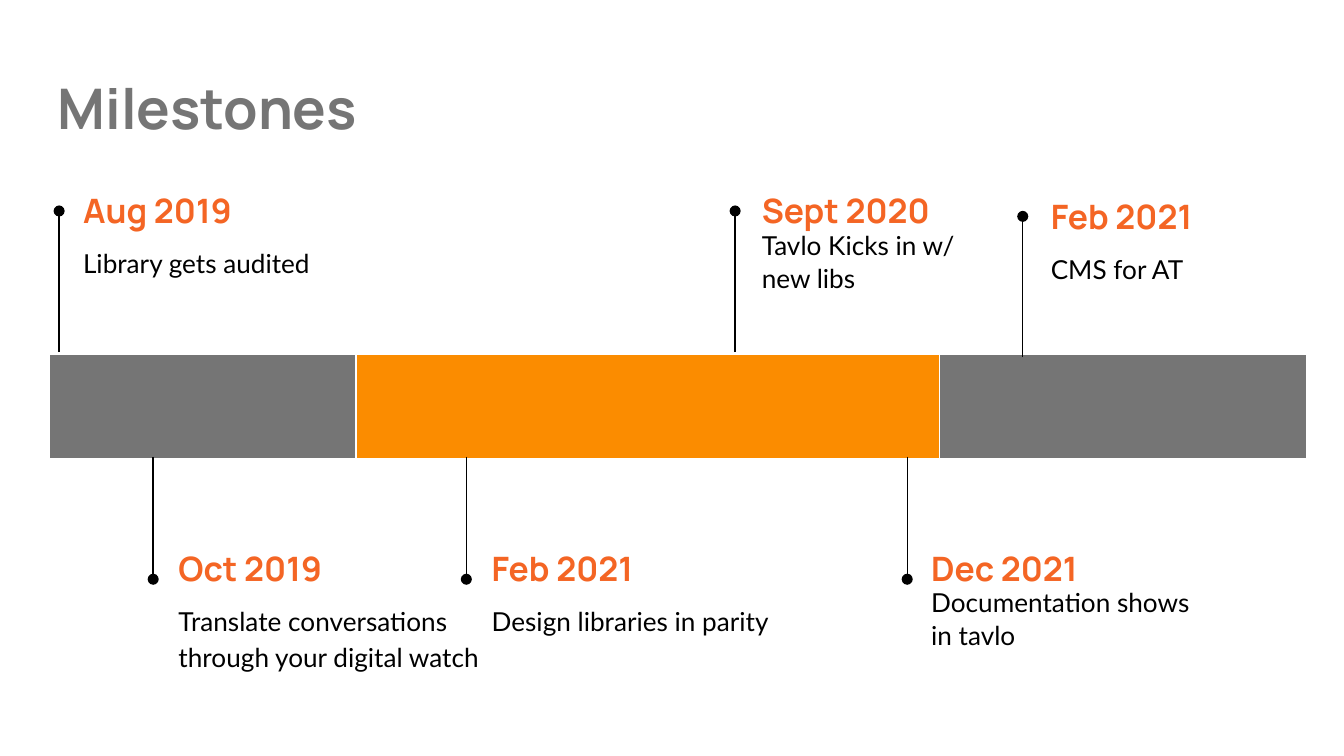
from lxml import etree
from pptx import Presentation
from pptx.dml.color import RGBColor
from pptx.enum import shapes, text
from pptx.oxml import ns
from pptx.util import Inches, Pt

GRAY = RGBColor(0x75, 0x75, 0x75)
AMBER = RGBColor(0xFB, 0x8C, 0x00)
ORANGE = RGBColor(0xF4, 0x65, 0x24)
BLACK = RGBColor(0, 0, 0)
WHITE = RGBColor(0xFF, 0xFF, 0xFF)

BAR_LEFT, BAR_TOP, BAR_HEIGHT = 0.37, 2.64, 0.77
PERIODS = [(2.28, GRAY), (4.34, AMBER), (2.73, GRAY)]  # width, color
LABEL_WIDTH, DATE_HEIGHT, DETAIL_HEIGHT = 2.53, 0.43, 0.63

# stem x, stem start y, marker y, label left, date, detail lines
MILESTONES = [
    (0.44, 2.62, 1.57, 0.52, "Aug 2019", ["Library gets audited"]),
    (1.14, 3.4, 4.31, 1.23, "Oct 2019",
     ["Translate conversations through your digital watch"]),
    (3.47, 3.4, 4.31, 3.56, "Feb 2021", ["Design libraries in parity"]),
    (5.47, 2.62, 1.57, 5.57, "Sept 2020", ["Tavlo Kicks in w/", "new libs"]),
    (6.75, 3.4, 4.31, 6.83, "Dec 2021", ["Documentation shows", "in tavlo"]),
    (7.61, 2.66, 1.61, 7.72, "Feb 2021", ["CMS for AT"]),
]


def set_font(paragraph, name, size, color, bold=False):
    font = paragraph.font
    font.name, font.size, font.bold = name, Pt(size), bold
    font.color.rgb = color


def set_frame(frame, anchor):
    frame.word_wrap = True
    frame.auto_size = text.MSO_AUTO_SIZE.NONE
    frame.vertical_anchor = anchor
    frame.margin_left = frame.margin_right = Inches(0.1)
    frame.margin_top = frame.margin_bottom = Inches(0.1)


def add_heading(slide):
    heading = slide.shapes.title
    heading.left, heading.top = Inches(0.33), Inches(0.45)
    heading.width, heading.height = Inches(9.32), Inches(0.7)
    set_frame(heading.text_frame, text.MSO_ANCHOR.TOP)
    heading.text_frame.text = "Milestones"
    paragraph = heading.text_frame.paragraphs[0]
    paragraph.alignment = text.PP_ALIGN.LEFT
    set_font(paragraph, "Manrope", 30, GRAY, bold=True)


def add_period(slide, left, width, color):
    period = slide.shapes.add_shape(
        shapes.MSO_SHAPE.RECTANGLE, Inches(left), Inches(BAR_TOP),
        Inches(width), Inches(BAR_HEIGHT))
    period.shadow.inherit = False
    period.fill.solid()
    period.fill.fore_color.rgb = color
    period.line.color.rgb = WHITE
    period.line.width = Pt(0.75)


def add_stem(slide, x, start, end):
    stem = slide.shapes.add_connector(
        shapes.MSO_CONNECTOR.STRAIGHT,
        Inches(x), Inches(start), Inches(x), Inches(end))
    stem.line.color.rgb = BLACK
    stem.line.width = Pt(0.75)
    # Round marker at the far end, no shadow
    outline = stem.line._get_or_add_ln()
    etree.SubElement(outline, ns.qn("a:tailEnd"), type="oval")
    etree.SubElement(stem._element.spPr, ns.qn("a:effectLst"))


def add_label(slide, left, top, height, anchor):
    label = slide.shapes.add_textbox(
        Inches(left), Inches(top), Inches(LABEL_WIDTH), Inches(height))
    set_frame(label.text_frame, anchor)
    return label.text_frame


def add_milestone(slide, x, start, marker, left, date, details):
    add_stem(slide, x, start, marker)
    top = marker - (0.22 if marker < BAR_TOP else 0.3)

    date_frame = add_label(slide, left, top, DATE_HEIGHT,
                           text.MSO_ANCHOR.MIDDLE)
    date_frame.text = date
    set_font(date_frame.paragraphs[0], "Manrope", 18, ORANGE, bold=True)

    # Two-line details are set tight and sit directly below the date
    tight = len(details) > 1
    detail_top = top + (DATE_HEIGHT if tight else 0.36)
    detail_frame = add_label(slide, left, detail_top, DETAIL_HEIGHT,
                             text.MSO_ANCHOR.TOP)
    detail_frame.text = "\n".join(details)
    for index, paragraph in enumerate(detail_frame.paragraphs):
        paragraph.line_spacing = 0.1 if tight else 1.15
        if index:
            paragraph.space_before = Pt(16)
        set_font(paragraph, "Lato", 14, BLACK)


def main():
    deck = Presentation()
    deck.slide_width = Inches(10)
    deck.slide_height = deck.slide_width * 9 // 16
    slide = deck.slides.add_slide(deck.slide_layouts[5])
    add_heading(slide)

    # Timeline bar
    left = BAR_LEFT
    for width, color in PERIODS:
        add_period(slide, left, width, color)
        left += width

    # Dated events above and below the bar
    for milestone in MILESTONES:
        add_milestone(slide, *milestone)
    deck.save("out.pptx")


if __name__ == "__main__":
    main()
